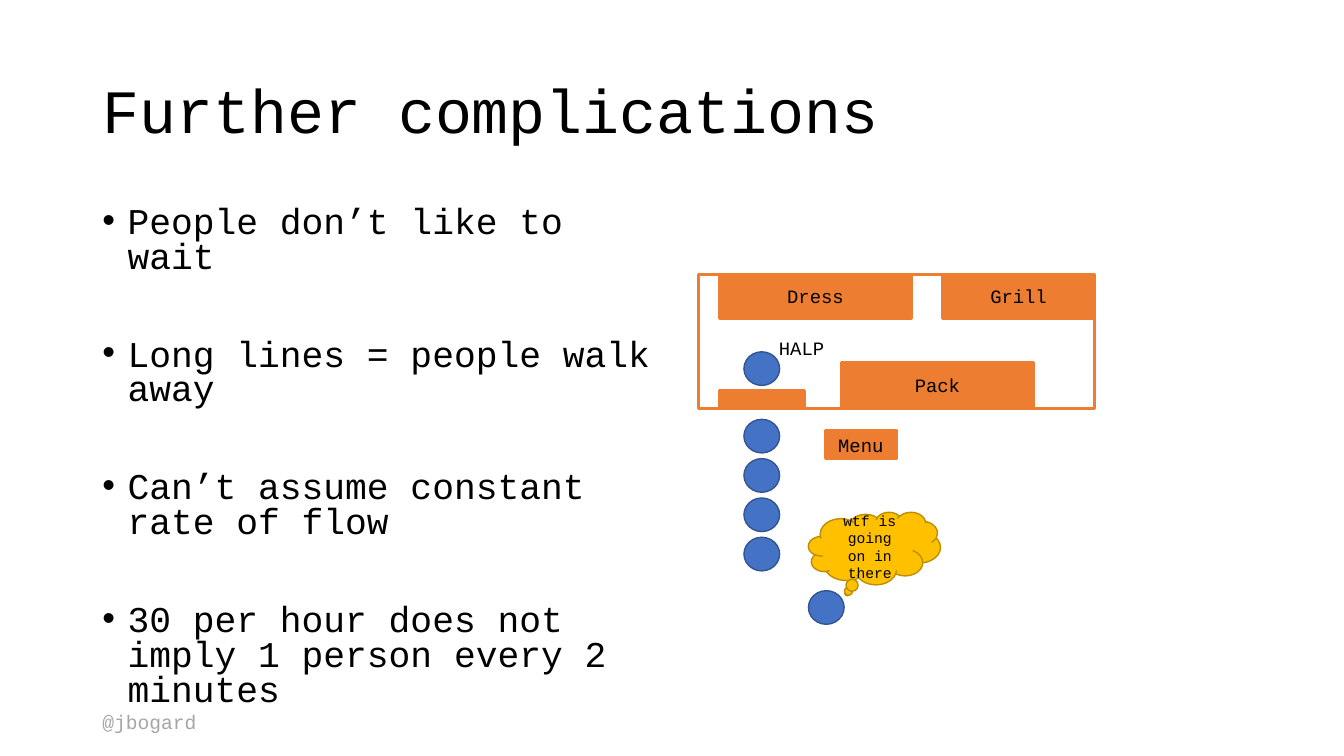
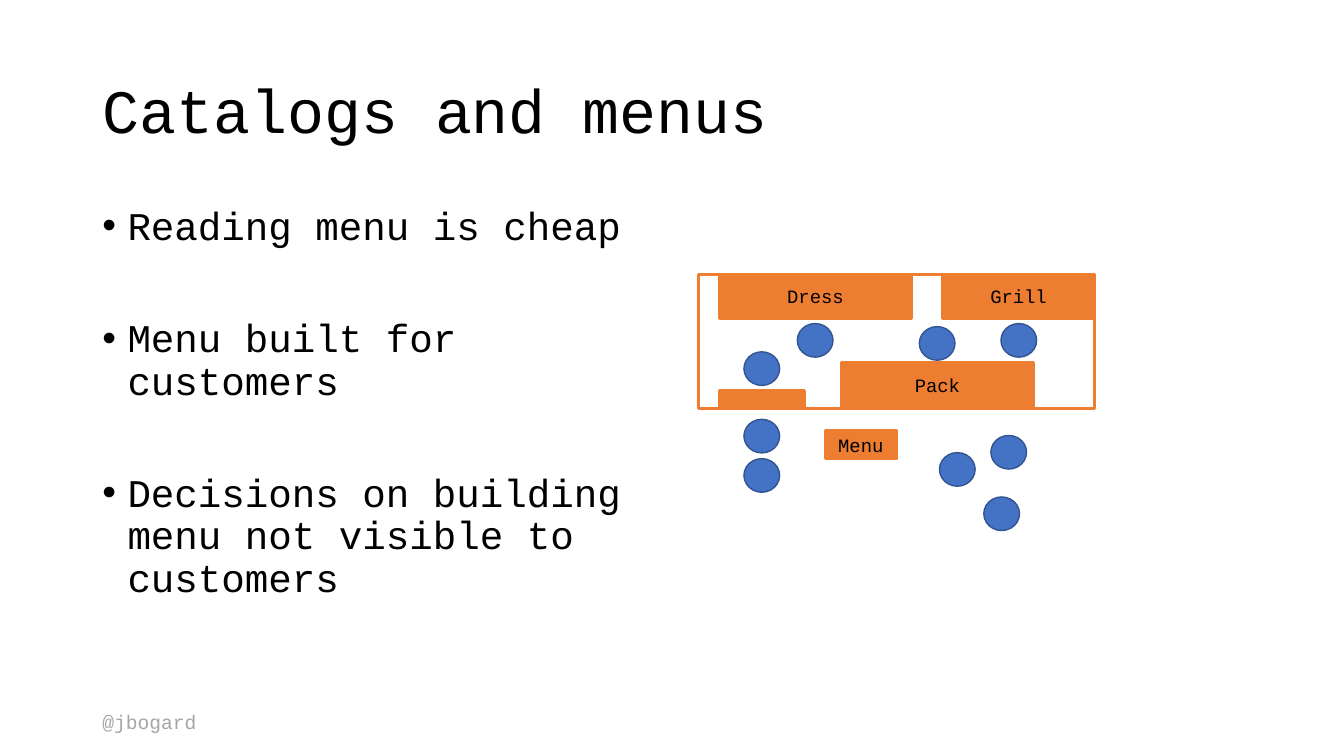
from lxml import etree
from pptx import Presentation
from pptx import util as u
from pptx.dml.color import RGBColor
from pptx.enum import shapes, text
from pptx.oxml.ns import qn

COLS, ROWS = 160, 90
MARGIN = 11
KITCHEN = (83.16, 32.64, 47.16, 16)
STATIONS = [
    ("", 85.68, 46.56, 10.08, 2.04),
    ("Dress", 85.68, 32.64, 22.8, 5.28),
    ("Pack", 100.2, 43.2, 22.8, 5.28),
    ("Grill", 112.2, 32.64, 18.12, 5.28),
    ("Menu", 98.28, 51.24, 8.4, 3.36),
]
PERSON = (4.25, 4)
LINE_X, CASHIER_Y, LINE_Y, LINE_STEP = 88.56, 41.88, 49.92, 4.68


def rgb(value):
    return RGBColor.from_string(value)


class Deck:
    """Holds the shared style and the current slide, measured on a 160 by 90 grid."""

    FONT = "Courier New"
    BLACK, WHITE, GRAY = "000000", "FFFFFF", "A6A6A6"
    ORANGE, BLUE, NAVY = "ED7D31", "4472C4", "325491"
    GOLD, BROWN = "FFC000", "BD8E00"

    def __init__(self):
        self.prs = Presentation()
        self.prs.slide_width = u.Inches(13.33)
        self.prs.slide_height = u.Inches(7.5)

    def box(self, x, y, w, h):
        col, row = self.prs.slide_width / COLS, self.prs.slide_height / ROWS
        return round(x * col), round(y * row), round(w * col), round(h * row)

    def run(self, p, words, size, color=BLACK):
        r = p.add_run()
        r.text = words
        r.font.name, r.font.size = self.FONT, u.Pt(size)
        r.font.color.rgb = rgb(color)

    def text_frame(self, *place):
        tf = self.s.shapes.add_textbox(*self.box(*place)).text_frame
        tf.word_wrap = True
        return tf

    def label(self, words, place, size, color=BLACK):
        self.run(self.text_frame(*place).paragraphs[0], words, size, color)

    def slide(self, title):
        self.s = self.prs.slides.add_slide(self.prs.slide_layouts[6])
        self.label("@jbogard", (MARGIN, 83.88, 17.52, 4.08), 14, self.GRAY)
        tf = self.text_frame(MARGIN, 4.8, 138, 17.4)
        tf.vertical_anchor = text.MSO_ANCHOR.MIDDLE
        p = tf.paragraphs[0]
        p.line_spacing = 0.9
        self.run(p, title, 44)

    def bullets(self, items, size, spacing, gap):
        tf = self.text_frame(MARGIN, 24, 68, 57.12)
        for i, item in enumerate(items):
            p = tf.add_paragraph() if i else tf.paragraphs[0]
            p.line_spacing = spacing
            p.space_before = u.Pt(gap if i else 0)
            pPr = p._p.get_or_add_pPr()
            pPr.set("marL", str(u.Inches(0.25)))
            pPr.set("indent", str(-u.Inches(0.25)))
            etree.SubElement(pPr, qn("a:buFont")).set("typeface", "Arial")
            etree.SubElement(pPr, qn("a:buChar")).set("char", "•")
            self.run(p, item, size)

    def shape(self, kind, place, fill, line, width, words="", size=13.5):
        sp = self.s.shapes.add_shape(kind, *self.box(*place))
        sp.shadow.inherit = False
        sp.fill.solid()
        sp.fill.fore_color.rgb = rgb(fill)
        sp.line.color.rgb = rgb(line)
        sp.line.width = u.Pt(width)
        if words:
            tf = sp.text_frame
            tf.word_wrap = True
            tf.vertical_anchor = text.MSO_ANCHOR.MIDDLE
            p = tf.paragraphs[0]
            p.alignment = text.PP_ALIGN.CENTER
            self.run(p, words, size)

    def block(self, place, fill=ORANGE, words=""):
        self.shape(shapes.MSO_SHAPE.RECTANGLE, place, fill, self.ORANGE, 2.25, words)

    def person(self, x, y):
        self.shape(shapes.MSO_SHAPE.OVAL, (x, y, *PERSON), self.BLUE, self.NAVY, 1)

    def thought(self, words, place):
        self.shape(shapes.MSO_SHAPE.CLOUD_CALLOUT, place, self.GOLD, self.BROWN, 1, words, 10.5)

    def restaurant(self, waiting, others):
        self.block(KITCHEN, self.WHITE)
        for name, *place in STATIONS:
            self.block(place, words=name)
        self.person(LINE_X, CASHIER_Y)
        for i in range(waiting):
            self.person(LINE_X, LINE_Y + i * LINE_STEP)
        for x, y in others:
            self.person(x, y)


def main():
    deck = Deck()

    deck.slide("Further complications")
    deck.bullets([
        "People don’t like to wait",
        "Long lines = people walk away",
        "Can’t assume constant rate of flow",
        "30 per hour does not imply 1 person every 2 minutes",
    ], 25.9, 0.8, 45)
    deck.restaurant(4, [(96.24, 70.32)])
    deck.thought("wtf is going on in there", (96.24, 60.96, 15.72, 8.64))
    deck.label("HALP", (91.56, 39.48, 8.4, 3.96), 13.5)

    deck.slide("Catalogs and menus")
    deck.bullets([
        "Reading menu is cheap",
        "Menu built for customers",
        "Decisions on building menu not visible to customers",
    ], 28, 0.9, 50)
    cooks = [(94.92, 38.52), (119.16, 38.52), (109.44, 38.88)]
    customers = [(117.96, 51.84), (111.84, 53.88), (117.12, 59.16)]
    deck.restaurant(2, cooks + customers)

    deck.prs.save("out.pptx")


if __name__ == "__main__":
    main()
